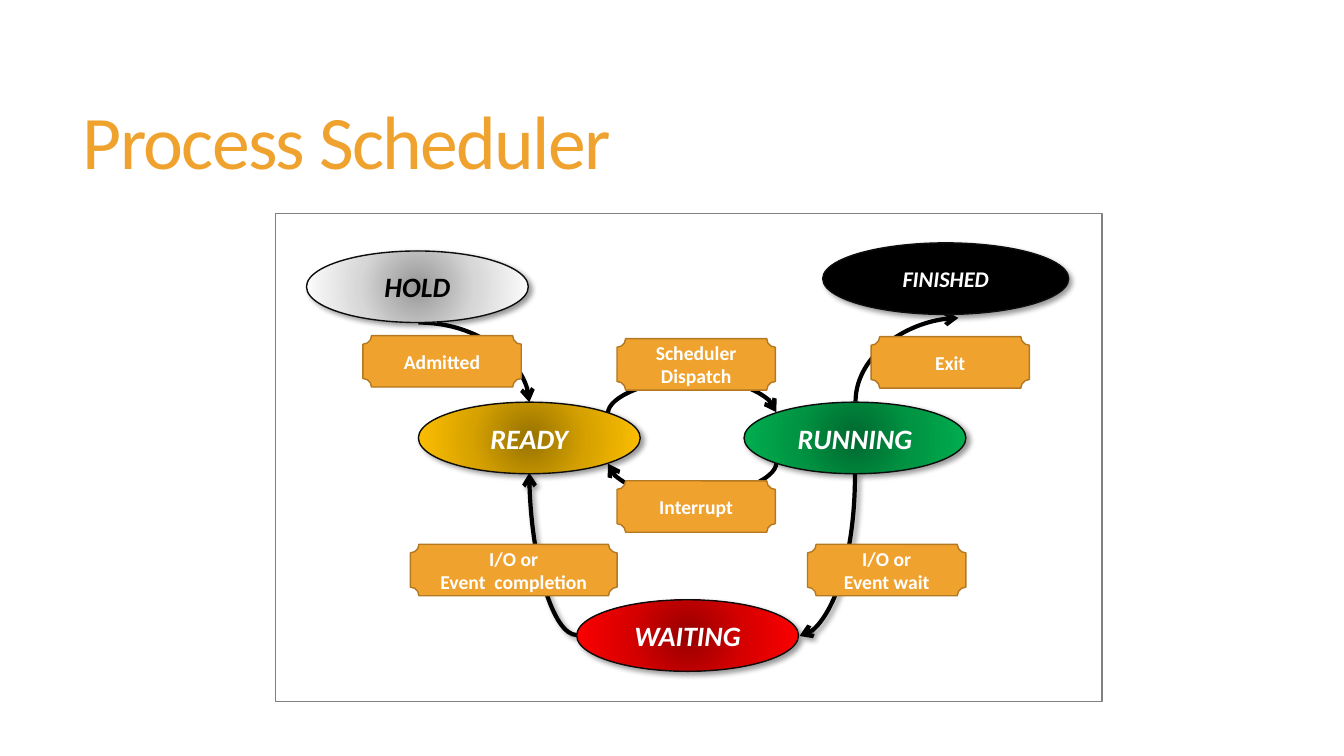
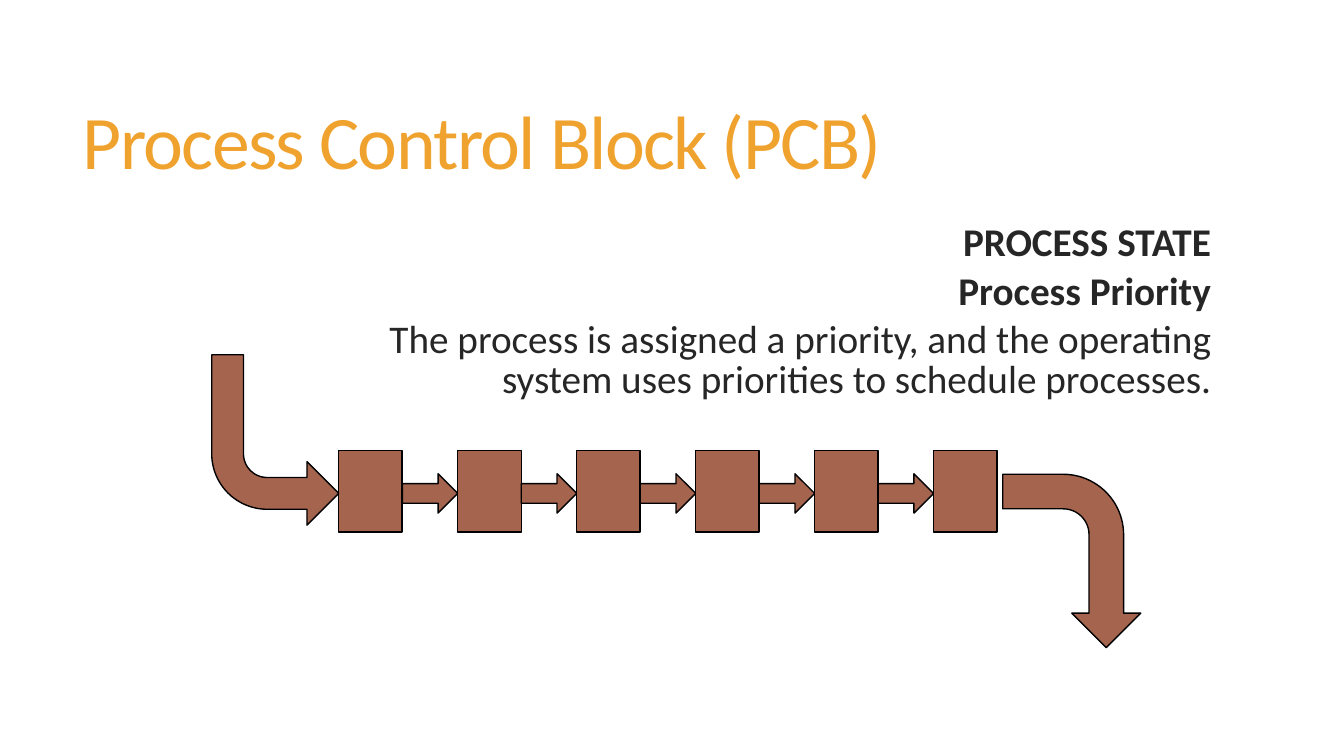
from dataclasses import dataclass

from lxml import etree
from pptx import Presentation
from pptx.dml.color import RGBColor
from pptx.enum import shapes, text
from pptx.oxml import parse_xml
from pptx.oxml.ns import nsdecls, qn
from pptx.util import Inches, Pt


@dataclass(frozen=True)
class Theme:
    font: str = "Calibri"
    gold: str = "F0A22E"
    rust: str = "B27822"
    brick: str = "A5644E"
    ink: str = "262626"
    edge: str = "0D0D0D"
    gray: str = "808080"
    black: str = "000000"
    white: str = "FFFFFF"
    title: int = 54
    body: int = 28
    state: int = 20
    small: int = 16
    label: int = 14


T = Theme()
KIND = shapes.MSO_SHAPE
ALIGN = text.PP_ALIGN
SHADE = (
    f'<a:outerShdw {nsdecls("a")} blurRad="50800" dist="38100" dir="2700000" '
    'algn="tl" rotWithShape="0"><a:srgbClr val="000000"><a:alpha val="40000"/>'
    '</a:srgbClr></a:outerShdw>'
)


def write(frame, lines, size, color, bold=False, italic=False, align=ALIGN.CENTER,
          anchor=text.MSO_ANCHOR.MIDDLE, space=None):
    """Fill a text frame with one paragraph per line, all in one format."""
    frame.text = "\n".join(lines)
    frame.word_wrap = True
    frame.auto_size = text.MSO_AUTO_SIZE.NONE
    frame.vertical_anchor = anchor
    for para in frame.paragraphs:
        para.alignment = align
        para.line_spacing = space
        font = para.runs[0].font
        font.name, font.size = T.font, Pt(size)
        font.bold, font.italic = bold, italic
        font.color.rgb = RGBColor.from_string(color)


def draw(slide, kind, box, fill=None, line=T.black, shade=False):
    """Add a shape; a tuple as fill gives a radial gradient from the centre."""
    shape = slide.shapes.add_shape(kind, *map(Inches, box))
    shape.line.color.rgb = RGBColor.from_string(line)
    shape.line.width = Pt(1)
    shape.shadow.inherit = False
    props = shape._element.spPr
    if fill is None:
        shape.fill.background()
    elif isinstance(fill, str):
        shape.fill.solid()
        shape.fill.fore_color.rgb = RGBColor.from_string(fill)
    else:
        stops = "".join(
            f'<a:gs pos="{i * 50000}"><a:srgbClr val="{c}"/></a:gs>'
            for i, c in enumerate(fill))
        shape.fill.gradient()
        props.replace(props.find(qn("a:gradFill")), parse_xml(
            f'<a:gradFill {nsdecls("a")} rotWithShape="1"><a:gsLst>{stops}</a:gsLst>'
            '<a:path path="circle"><a:fillToRect l="50000" t="50000" r="50000" '
            'b="50000"/></a:path></a:gradFill>'))
    if shade:
        props.find(qn("a:effectLst")).append(parse_xml(SHADE))
    return shape


deck = Presentation()
deck.slide_width, deck.slide_height = Inches(13.33), Inches(7.5)

pages = []
for layout, name in ((5, "Process Scheduler"), (1, "Process Control Block (PCB)")):
    page = deck.slides.add_slide(deck.slide_layouts[layout])
    head = page.shapes.title
    head.left, head.top, head.width, head.height = map(Inches, (0.72, 0.55, 11.78, 1.81))
    write(head.text_frame, [name], T.title, T.gold, align=ALIGN.LEFT, space=0.85)
    head.text_frame.paragraphs[0].runs[0]._r.get_or_add_rPr().set("spc", "-120")
    pages.append(page)
flow, queue = pages

# Transitions: unrotated box, angle, flipped, bend of a U-shaped curve, shadow
curves = (
    ((5.25, 4.69, 0.47, 1.61), 180, False, None, True),
    ((7.4, 5.23, 1.61, 0.55), 90, False, None, True),
    ((6.86, 3.26, 0.01, 1.67), 90, True, 34, False),
    ((6.86, 3.76, 0.01, 1.67), 90, False, 34, False),
    ((4.15, 3.2, 1.1, 0.79), 0, False, None, False),
    ((8.58, 3.06, 0.83, 1.02), 90, True, None, False),
)
for (x, y, w, h), angle, flip, bend, shade in curves:
    link = flow.shapes.add_connector(
        shapes.MSO_CONNECTOR.CURVE, *map(Inches, (x, y, x + w, y + h)))
    link.line.color.rgb = RGBColor.from_string(T.black)
    link.line.width = Pt(3)
    props = link._element.spPr
    etree.SubElement(props.find(qn("a:ln")), qn("a:tailEnd"), type="arrow")
    frame = props.find(qn("a:xfrm"))
    frame.set("rot", str(angle * 60000))
    if flip:
        frame.set("flipH", "1")
        frame.set("flipV", "1")
    shape = props.find(qn("a:prstGeom"))
    if bend:
        etree.SubElement(shape.find(qn("a:avLst")), qn("a:gd"),
                         name="adj1", fmla=f"val {bend * 100000}")
    else:
        shape.set("prst", "curvedConnector2")
    glow = etree.SubElement(props, qn("a:effectLst"))
    if shade:
        glow.append(parse_xml(SHADE))

labels = (
    (6.12, 3.36, 1.57, ["Scheduler", "Dispatch"]),
    (6.12, 4.77, 1.57, ["Interrupt"]),
    (3.6, 3.33, 1.57, ["Admitted"]),
    (8.64, 3.34, 1.57, ["Exit"]),
    (8.01, 5.4, 1.57, ["I/O or", "Event wait"]),
    (4.07, 5.4, 2.05, ["I/O or", "Event  completion"]),
)
for x, y, w, lines in labels:
    tag = draw(flow, KIND.PLAQUE, (x, y, w, 0.51), T.gold, T.rust)
    write(tag.text_frame, lines, T.label, T.white, bold=True)

states = (
    ("HOLD", 3.04, 2.49, 2.2, ("979797", "D7D7D7", "FFFFFF"), T.black, T.state),
    ("READY", 4.15, 3.99, 2.2, ("977200", "D7A200", "FFC000"), T.white, T.state),
    ("WAITING", 5.72, 5.95, 2.2, ("970000", "D70000", "FF0000"), T.white, T.state),
    ("RUNNING", 7.38, 3.99, 2.2, ("00682F", "009443", "00B050"), T.white, T.state),
    ("FINISHED", 8.16, 2.41, 2.44, T.black, T.white, T.small),
)
for name, x, y, w, fill, color, size in states:
    oval = draw(flow, KIND.OVAL, (x, y, w, 0.71), fill, T.edge, shade=True)
    write(oval.text_frame, [name], size, color, bold=True, italic=True)

draw(flow, KIND.RECTANGLE, (2.73, 2.12, 8.2, 4.84), line=T.gray)

body = queue.placeholders[1]
body.left, body.top, body.width, body.height = map(Inches, (3.21, 2.18, 8.9, 4.12))
write(body.text_frame, [
    "PROCESS STATE",
    "Process Priority",
    "The process is assigned a priority, and the operating system uses "
    "priorities to schedule processes.",
], T.body, T.ink, bold=True, align=ALIGN.RIGHT, anchor=text.MSO_ANCHOR.TOP, space=0.85)
paras = body.text_frame.paragraphs
for para, level, gap in zip(paras, (0, 1, 1), (13, 6, 6)):
    para.level, para.space_before = level, Pt(gap)
    props = para._p.get_or_add_pPr()
    props.set("marL", "0")
    props.set("indent", "0")
    etree.SubElement(props, qn("a:buNone"))
paras[-1].runs[0].font.bold = False

count, left, wide, gap = 6, 3.36, 0.63, 0.55
for i in range(count):
    x = left + i * (wide + gap)
    draw(queue, KIND.RECTANGLE, (x, 4.47, wide, 0.81), T.brick)
    if i < count - 1:
        draw(queue, KIND.RIGHT_ARROW, (x + wide, 4.7, gap, 0.39), T.brick)

enter = draw(queue, KIND.BENT_ARROW, (2.1, 3.52, 1.26, 1.69), T.brick)
enter._element.spPr.find(qn("a:xfrm")).set("flipV", "1")
leave = draw(queue, KIND.BENT_ARROW, (9.77, 4.88, 1.72, 1.37), T.brick)
leave.rotation = 90

deck.save("out.pptx")
